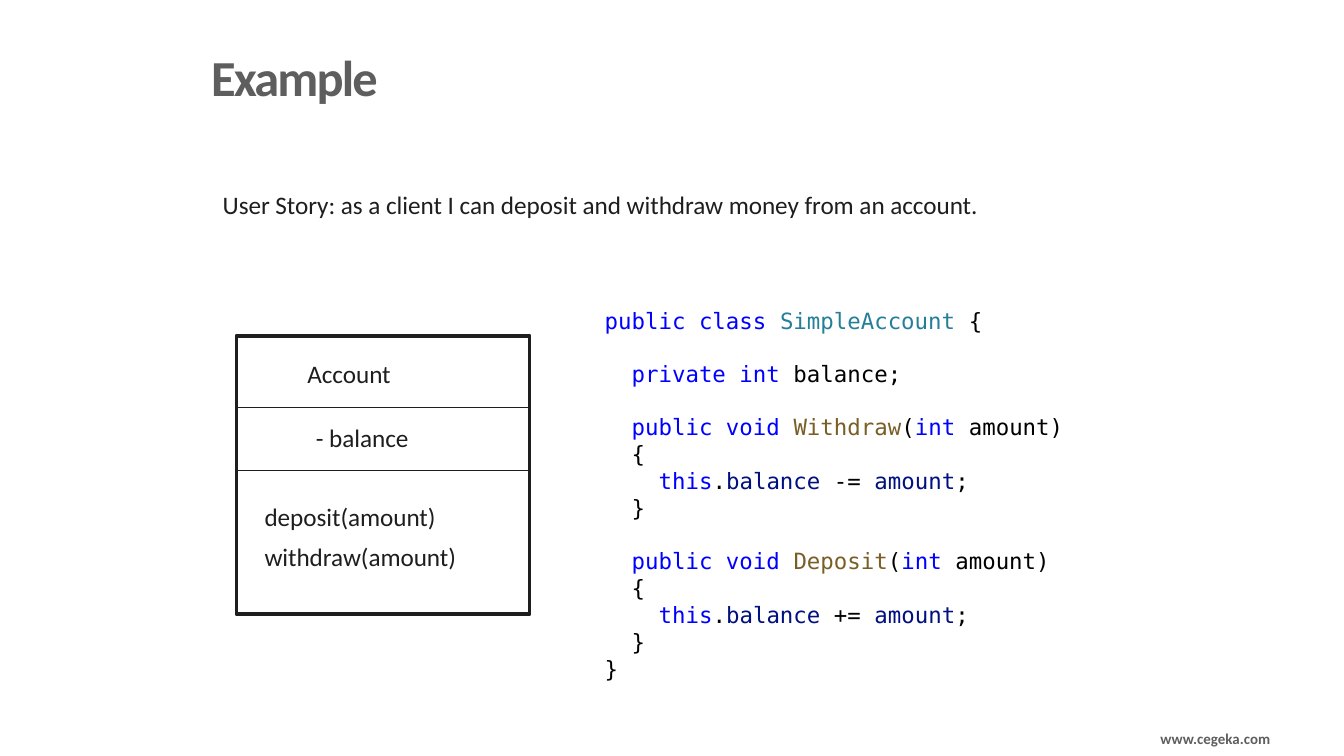
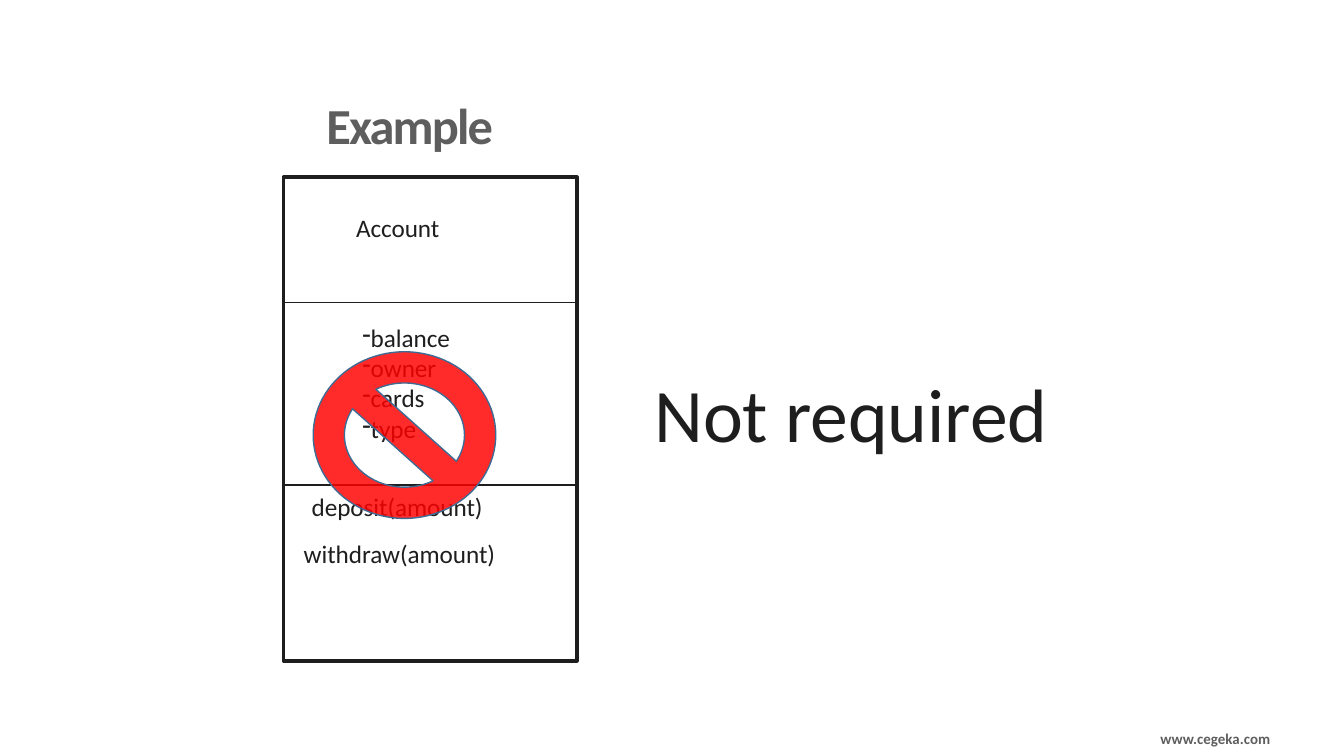
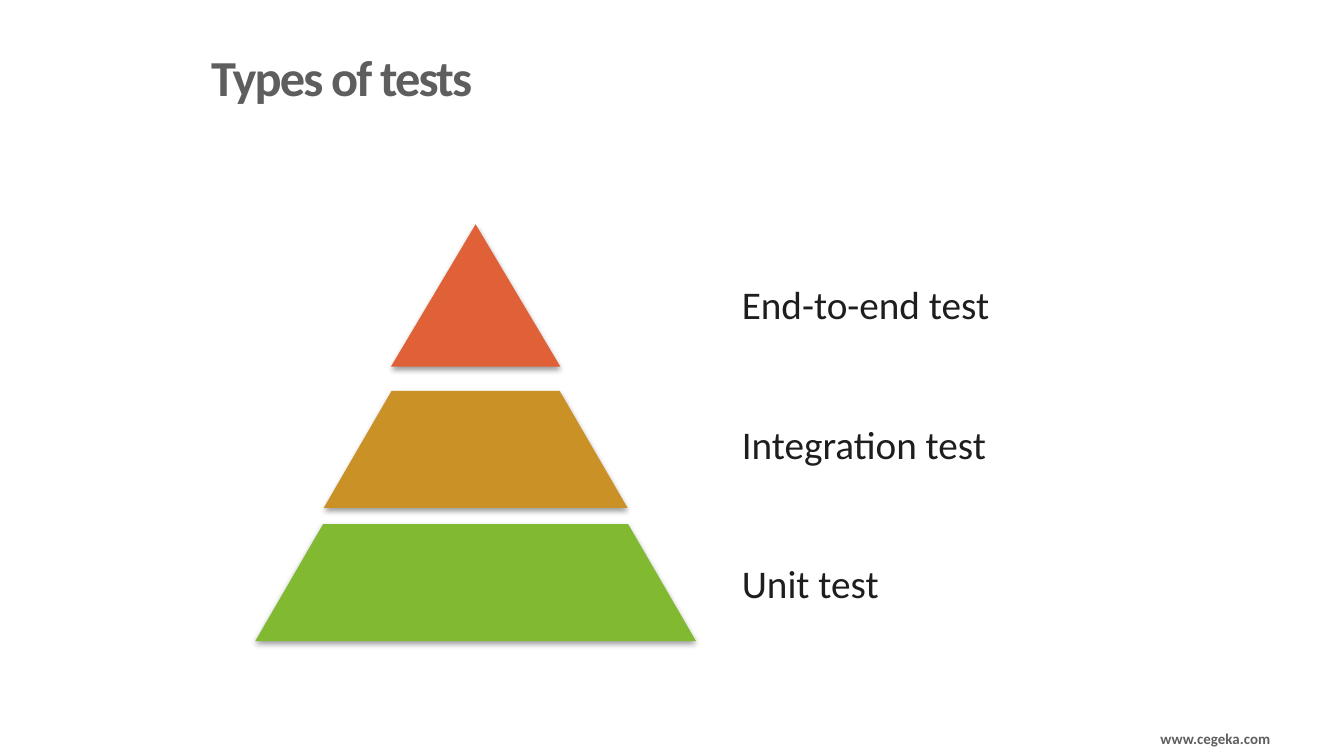
from lxml.etree import SubElement
from pptx import Presentation
from pptx.dml.color import RGBColor
from pptx.enum.shapes import MSO_CONNECTOR as Connector, MSO_SHAPE as Shape
from pptx.enum.text import MSO_ANCHOR as Anchor, PP_ALIGN as Align
from pptx.oxml.ns import qn
from pptx.util import Cm, Pt

COLORS = {
    "ink": "1E1E1E", "grey": "5E5E5E", "white": "FFFFFF", "black": "000000",
    "keyword": "0000FF", "type": "267F99", "method": "795E26", "variable": "001080",
    "ban": "FF0000", "ban line": "3E6B94",
    "red": "E06137", "amber": "CA9126", "green": "81BA31",
}
BODY_FONT, CODE_FONT = "Calibri", "DejaVu Sans Mono"
FOOTER = "www.cegeka.com"
TITLE_AT = (3.99, 0, 19.94, 2.03)
STORY = "User Story: as a client I can deposit and withdraw money from an account."


def method_lines(name, operator):
    return [
        [("  public void ", "keyword"), (name, "method"), ("(", "black"),
         ("int", "keyword"), (" amount)", "black")],
        [("  {", "black")],
        [("    this", "keyword"), (".", "black"), ("balance", "variable"),
         (f" {operator} ", "black"), ("amount", "variable"), (";", "black")],
        [("  }", "black")],
    ]


CODE_BLOCKS = [
    [[("public class ", "keyword"), ("SimpleAccount", "type"), (" {", "black")]],
    [[("  private int", "keyword"), (" balance;", "black")]],
    method_lines("Withdraw", "-="),
    method_lines("Deposit", "+=") + [[("}", "black")]],
]

SIMPLE_CARD = {
    "at": (4.47, 6.35, 5.54, 5.26),
    "dividers": (7.7, 8.89),
    "texts": [
        (["Account"], (5.56, 6.65, 3.89, 0.84), {}),
        (["- balance"], (5.72, 7.85, 2.29, 0.84), {"wrap": False}),
        (["deposit(amount)"], (4.75, 9.35, 4.57, 0.84), {}),
        (["withdraw(amount)"], (4.75, 10.11, 4.98, 0.84), {}),
    ],
}
FULL_CARD = {
    "at": (5.36, 3.35, 5.54, 9.14),
    "dividers": (5.72, 9.17),
    "texts": [
        (["Account"], (6.48, 3.89, 3.89, 0.84), {}),
        (["balance", "owner", "cards", "type"], (6.6, 5.97, 2.18, 2.57),
         {"wrap": False, "bullet": "-"}),
        (["deposit(amount)"], (5.64, 9.17, 4.57, 0.84), {}),
        (["withdraw(amount)"], (5.49, 10.06, 4.98, 0.84), {}),
    ],
}

PYRAMID_CENTER = 8.99
PYRAMID = [
    ("End-to-end test", Shape.ISOSCELES_TRIANGLE, "red", 4.24, 3.2, 2.69),
    ("Integration test", Shape.TRAPEZOID, "amber", 7.39, 5.74, 2.21),
    ("Unit test", Shape.TRAPEZOID, "green", 9.91, 8.33, 2.21),
]


def rgb(name):
    return RGBColor.from_string(COLORS[name])


def lengths(at):
    return [Cm(value) for value in at]


def write_text(frame, lines, size=13.5, color="ink", font=BODY_FONT, bold=False,
               align=Align.LEFT, anchor=Anchor.TOP, wrap=True, bullet=None,
               inset=None, line_spacing=None, tracking=None, gaps=()):
    frame.word_wrap = wrap
    frame.vertical_anchor = anchor
    if inset is not None:
        frame.margin_left = frame.margin_right = Cm(inset)
        frame.margin_top = frame.margin_bottom = Cm(inset)
    for index, line in enumerate(lines):
        para = frame.add_paragraph() if index else frame.paragraphs[0]
        para.alignment = align
        if line_spacing:
            para.line_spacing = line_spacing
        if index in gaps:
            para.space_before = Pt(14)
        if bullet:
            SubElement(para._p.get_or_add_pPr(), qn("a:buChar")).set("char", bullet)
        spans = [(line, color)] if isinstance(line, str) else line
        for words, span_color in spans:
            span = para.add_run()
            span.text = words
            span.font.name = font
            span.font.size = Pt(size)
            span.font.bold = bold
            span.font.color.rgb = rgb(span_color)
            if tracking:
                span.font._element.set("spc", str(tracking))


def add_text(shapes, lines, at, **format_options):
    box = shapes.add_textbox(*lengths(at))
    write_text(box.text_frame, lines, **format_options)


def add_shape(shapes, kind, at, fill, line=None, line_width=0):
    shape = shapes.add_shape(kind, *lengths(at))
    shape.shadow.inherit = False
    shape.fill.solid()
    shape.fill.fore_color.rgb = rgb(fill)
    if line:
        shape.line.color.rgb = rgb(line)
        shape.line.width = Pt(line_width)
    else:
        shape.line.fill.background()
    return shape


def add_card(page, card):
    group = page.shapes.add_group_shape().shapes
    left, top, width, height = card["at"]
    add_shape(group, Shape.RECTANGLE, card["at"], "white", "ink", 2)
    for y in card["dividers"]:
        divider = group.add_connector(
            Connector.STRAIGHT, *lengths((left, y, left + width, y)))
        divider.line.color.rgb = rgb("ink")
        divider.line.width = Pt(0.75)
        SubElement(divider._element.spPr, qn("a:effectLst"))
    for lines, at, options in card["texts"]:
        add_text(group, lines, at, **options)


def add_alpha(shape, percent):
    color = shape._element.spPr.find(qn("a:solidFill"))[0]
    SubElement(color, qn("a:alpha")).set("val", str(percent * 1000))


def add_soft_shadow(shape):
    effects = shape._element.spPr.find(qn("a:effectLst"))
    shadow = SubElement(effects, qn("a:outerShdw"), blurRad=str(Pt(3.1)),
                        dist=str(Pt(1.6)), dir="5400000", rotWithShape="0")
    color = SubElement(shadow, qn("a:srgbClr"), val=COLORS["black"])
    SubElement(color, qn("a:alpha"), val="38000")


def add_page(deck, title, title_at=TITLE_AT):
    page = deck.slides.add_slide(deck.slide_layouts[5])
    heading = page.shapes.title
    heading.left, heading.top, heading.width, heading.height = lengths(title_at)
    write_text(heading.text_frame, [title], size=27, color="grey", bold=True,
               anchor=Anchor.BOTTOM, inset=0, line_spacing=0.9, tracking=-100)
    add_text(page.shapes, [FOOTER], (17.3, 13.79, 6.71, 0.33), size=8, color="grey",
             bold=True, align=Align.RIGHT, inset=0)
    return page


def build_story(deck):
    page = add_page(deck, "Example")
    add_card(page, SIMPLE_CARD)
    add_text(page.shapes, [STORY], (3.96, 3.45, 17.45, 0.84))
    lines, gaps = [], []
    for block in CODE_BLOCKS:
        if lines:
            gaps.append(len(lines))
        lines += block
    add_text(page.shapes, lines, (11.18, 5.69, 9.93, 8.46), size=12,
             font=CODE_FONT, gaps=gaps)


def build_not_required(deck):
    page = add_page(deck, "Example", (6.17, 1.09, 15.01, 1.85))
    add_card(page, FULL_CARD)
    ban = add_shape(page.shapes, Shape.NO_SYMBOL, (5.92, 6.65, 3.45, 3.15),
                    "ban", "ban line")
    add_alpha(ban, 83)
    add_text(page.shapes, ["Not required"], (10.77, 6.81, 10.64, 3.12),
             size=40.5, align=Align.CENTER)


def build_pyramid(deck):
    page = add_page(deck, "Types of tests")
    for index, (label, kind, color, top, width, height) in enumerate(PYRAMID):
        at = (PYRAMID_CENTER - width / 2, top, width, height)
        layer = add_shape(page.shapes, kind, at, color)
        if kind == Shape.TRAPEZOID:
            layer.adjustments[0] = 0.58
        add_soft_shadow(layer)
        add_text(page.shapes, [label], (13.77, 4.55 + 2.64 * index, 6.68, 2.39),
                 size=21, anchor=Anchor.MIDDLE)


def main():
    deck = Presentation()
    deck.slide_width, deck.slide_height = Cm(25.4), Cm(14.29)
    build_story(deck)
    build_not_required(deck)
    build_pyramid(deck)
    deck.save("out.pptx")


if __name__ == "__main__":
    main()
